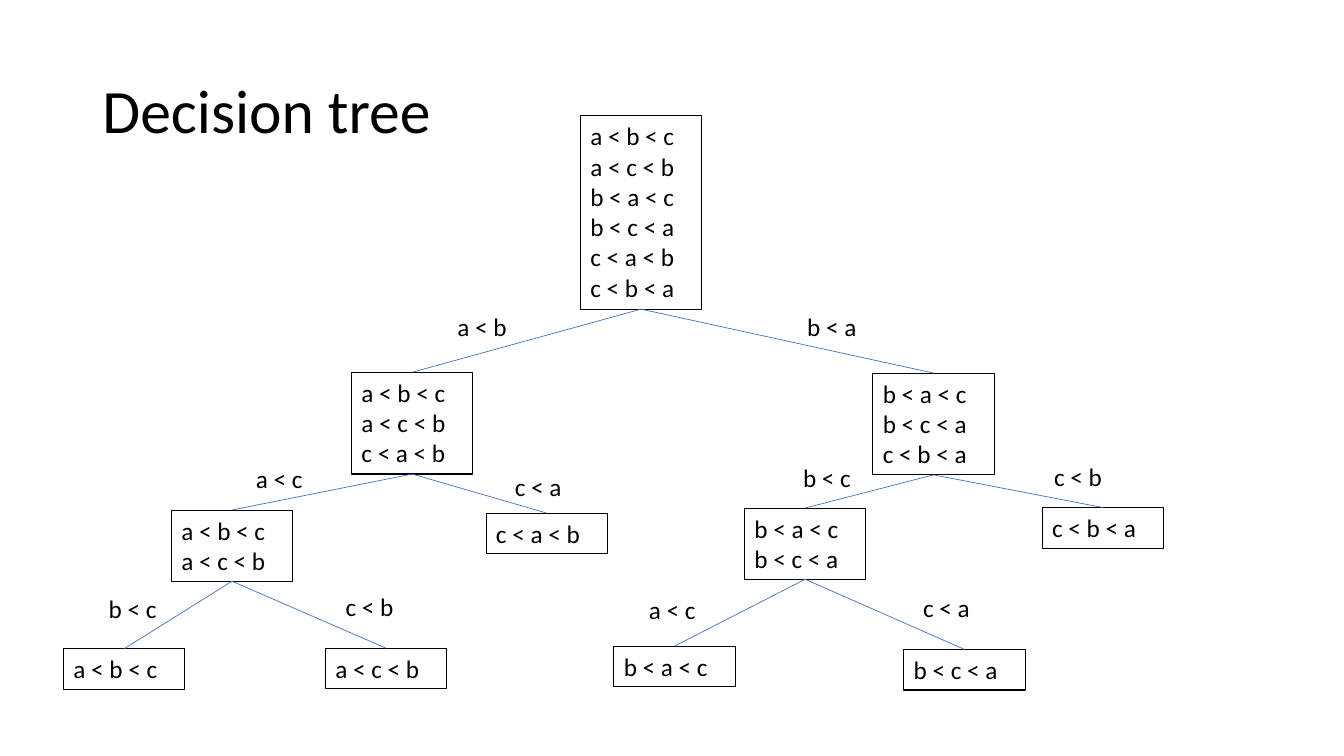
"""Builds a slide with the decision tree for sorting three values."""
import itertools
from dataclasses import dataclass

import lxml.etree
import pptx
import pptx.dml.color
import pptx.enum.shapes
import pptx.enum.text
import pptx.oxml.ns
import pptx.shapes.autoshape
import pptx.slide
import pptx.text.text
import pptx.util


@dataclass(frozen=True)
class Theme:
    font: str = "Calibri"
    ink: str = "000000"
    branch: str = "4472C4"
    title_size: float = 44
    text_size: float = 18
    box_line: float = 0.75
    branch_line: float = 0.5
    box_width: float = 86.7
    label_width: float = 61.9
    row_height: float = 21.84
    box_padding: float = 7.2


@dataclass(frozen=True)
class Node:
    left: float
    top: float
    branches: tuple["Branch", ...] = ()


@dataclass(frozen=True)
class Branch:
    smaller: str
    larger: str
    label_left: float
    label_top: float
    child: Node


THEME = Theme()
Order = tuple[str, ...]

AFTER_A_B_C = Node(122.4, 364.3, (
    Branch("b", "c", 70.6, 420.5, Node(45.4, 463.4)),
    Branch("c", "b", 239.8, 419, Node(232.4, 463)),
))
AFTER_B_A_C = Node(531.8, 362.9, (
    Branch("a", "c", 456.5, 421.2, Node(438.5, 461.5)),
    Branch("c", "a", 652.3, 419.8, Node(645.6, 463.9)),
))
ROOT = Node(414.6, 82.6, (
    Branch("a", "b", 319.7, 218.9, Node(251.1, 265.9, (
        Branch("a", "c", 175.7, 327.6, AFTER_A_B_C),
        Branch("c", "a", 360.7, 333.4, Node(347.2, 366.5)),
    ))),
    Branch("b", "a", 569.5, 218.9, Node(623.5, 266.5, (
        Branch("b", "c", 566.6, 326.9, AFTER_B_A_C),
        Branch("c", "b", 745.9, 326.2, Node(744.4, 362.5)),
    ))),
))


def color(value: str) -> pptx.dml.color.RGBColor:
    return pptx.dml.color.RGBColor.from_string(value)


def apply(target: object, formats: dict[str, object]) -> None:
    for name, value in formats.items():
        setattr(target, name, value)


def write(frame: pptx.text.text.TextFrame, text: str, size: float,
          formats: dict[str, object], spacing: float = 1.0) -> None:
    frame.text = text
    apply(frame, {"word_wrap": True, **formats})
    for paragraph in frame.paragraphs:
        apply(paragraph, {
            "alignment": pptx.enum.text.PP_ALIGN.LEFT,
            "line_spacing": spacing,
        })
        apply(paragraph.font, {"name": THEME.font, "size": pptx.util.Pt(size)})
        paragraph.font.color.rgb = color(THEME.ink)


def write_fitted(frame: pptx.text.text.TextFrame, text: str) -> None:
    write(frame, text, THEME.text_size, {
        "auto_size": pptx.enum.text.MSO_AUTO_SIZE.SHAPE_TO_FIT_TEXT,
        "vertical_anchor": pptx.enum.text.MSO_ANCHOR.TOP,
    })


def row_extent(rows: int) -> float:
    return THEME.box_padding + THEME.row_height * rows


def draw_box(slide: pptx.slide.Slide, node: Node,
             orders: list[Order]) -> pptx.shapes.autoshape.Shape:
    box = slide.shapes.add_shape(
        pptx.enum.shapes.MSO_SHAPE.RECTANGLE,
        pptx.util.Pt(node.left), pptx.util.Pt(node.top),
        pptx.util.Pt(THEME.box_width), pptx.util.Pt(row_extent(len(orders))))
    box.shadow.inherit = False
    box.fill.background()
    box.line.color.rgb = color(THEME.ink)
    box.line.width = pptx.util.Pt(THEME.box_line)
    write_fitted(box.text_frame, "\n".join(" < ".join(order) for order in orders))
    return box


def draw_label(slide: pptx.slide.Slide, branch: Branch) -> None:
    label = slide.shapes.add_textbox(
        pptx.util.Pt(branch.label_left), pptx.util.Pt(branch.label_top),
        pptx.util.Pt(THEME.label_width), pptx.util.Pt(row_extent(1)))
    write_fitted(label.text_frame, f"{branch.smaller} < {branch.larger}")


def draw_branch(slide: pptx.slide.Slide, parent: pptx.shapes.autoshape.Shape,
                child: pptx.shapes.autoshape.Shape) -> None:
    line = slide.shapes.add_connector(
        pptx.enum.shapes.MSO_CONNECTOR.STRAIGHT, 0, 0, 0, 0)
    line.begin_connect(parent, 2)
    line.end_connect(child, 0)
    line.line.color.rgb = color(THEME.branch)
    line.line.width = pptx.util.Pt(THEME.branch_line)
    lxml.etree.SubElement(line._element.spPr, pptx.oxml.ns.qn("a:effectLst"))


def draw_tree(slide: pptx.slide.Slide, node: Node,
              orders: list[Order]) -> pptx.shapes.autoshape.Shape:
    box = draw_box(slide, node, orders)
    for branch in node.branches:
        remaining = [order for order in orders
                     if order.index(branch.smaller) < order.index(branch.larger)]
        draw_branch(slide, box, draw_tree(slide, branch.child, remaining))
        draw_label(slide, branch)
    return box


def draw_title(slide: pptx.slide.Slide) -> None:
    title = slide.shapes.title
    apply(title, {
        "left": pptx.util.Pt(66), "top": pptx.util.Pt(28.8),
        "width": pptx.util.Pt(828), "height": pptx.util.Pt(104.4),
    })
    write(title.text_frame, "Decision tree", THEME.title_size, {
        "auto_size": pptx.enum.text.MSO_AUTO_SIZE.NONE,
        "vertical_anchor": pptx.enum.text.MSO_ANCHOR.MIDDLE,
    }, spacing=0.9)


def main() -> None:
    presentation = pptx.Presentation()
    apply(presentation, {
        "slide_width": pptx.util.Pt(960), "slide_height": pptx.util.Pt(540),
    })
    slide = presentation.slides.add_slide(presentation.slide_layouts[5])
    draw_title(slide)
    draw_tree(slide, ROOT, list(itertools.permutations("abc")))
    presentation.save("out.pptx")


if __name__ == "__main__":
    main()
